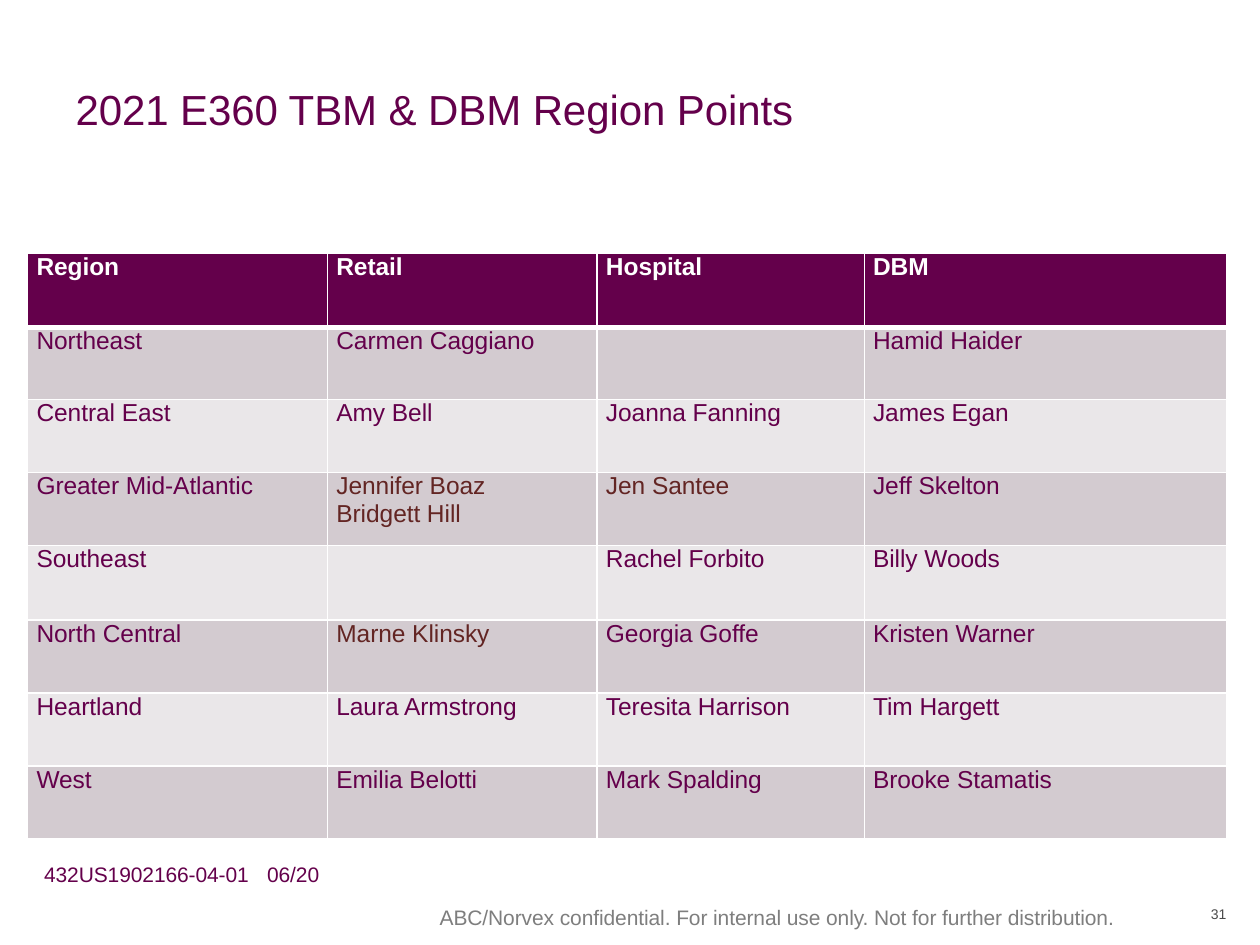
from pptx import Presentation
from pptx.dml.color import RGBColor
from pptx.oxml.ns import qn
from pptx.util import Inches, Pt
from lxml.etree import SubElement

COLORS = {
    "plum": "64004B",
    "brown": "632523",
    "white": "FFFFFF",
    "band_dark": "D3CBD0",
    "band_light": "EAE7E9",
    "grey": "7E7E7E",
    "dark_grey": "4A4A4A",
}


def write(frame, text, size, color, bold=False, left=0.01, top=0):
    """Fill a text frame, one paragraph per line of text."""
    frame.word_wrap = True
    for index, line in enumerate(text.split("\n")):
        para = frame.paragraphs[0] if index == 0 else frame.add_paragraph()
        span = para.add_run()
        span.text = line
        span.font.name = "Arial"
        span.font.size = Pt(size)
        span.font.bold = bold
        span.font.color.rgb = RGBColor.from_string(COLORS[color])
        span.font._element.set("spc", "-5")
    frame.margin_left, frame.margin_top = Inches(left), Inches(top)
    frame.margin_right = frame.margin_bottom = 0


def add_border(cell, side, width):
    line = SubElement(cell._tc.get_or_add_tcPr(), qn(f"a:{side}"), w=str(Pt(width)))
    fill = SubElement(line, qn("a:solidFill"))
    SubElement(fill, qn("a:srgbClr"), val=COLORS["white"])


deck = Presentation()
deck.slide_width, deck.slide_height = Inches(10), Inches(7.5)
page = deck.slides.add_slide(deck.slide_layouts[6])

# Title and footer: text, position and size, then format
texts = [
    ("2021 E360 TBM & DBM Region Points", (0.59, 0.32, 8.83, 0.75),
     dict(size=24, color="plum", top=0.34)),
    ("432US1902166-04-01\t06/20", (0.34, 6.84, 2.21, 0.19),
     dict(size=12, color="plum")),
    ("ABC/Norvex confidential. For internal use only. Not for further distribution.",
     (3.48, 7.18, 5.5, 0.19), dict(size=12, color="grey")),
    ("31", (9.58, 7.19, 0.18, 0.14), dict(size=8, color="dark_grey", left=0.03)),
]
for text, position, style in texts:
    box = page.shapes.add_textbox(*map(Inches, position))
    write(box.text_frame, text, **style)
    if "\t" in text:
        properties = box.text_frame.paragraphs[0]._p.get_or_add_pPr()
        stops = SubElement(properties, qn("a:tabLst"))
        SubElement(stops, qn("a:tab"), pos=str(Inches(1.77)), algn="l")

# Region table
rows = [
    ("Region", "Retail", "Hospital", "DBM"),
    ("Northeast", "Carmen Caggiano", "", "Hamid Haider"),
    ("Central East", "Amy Bell", "Joanna Fanning", "James Egan"),
    ("Greater Mid-Atlantic", "Jennifer Boaz\nBridgett Hill", "Jen Santee", "Jeff Skelton"),
    ("Southeast", "", "Rachel Forbito", "Billy Woods"),
    ("North Central", "Marne Klinsky", "Georgia Goffe", "Kristen Warner"),
    ("Heartland", "Laura Armstrong", "Teresita Harrison", "Tim Hargett"),
    ("West", "Emilia Belotti", "Mark Spalding", "Brooke Stamatis"),
]
brown_cells = {(3, 1), (3, 2), (5, 1)}
column_widths = [2.38, 2.14, 2.12, 2.88]
row_heights = [0.59, 0.57, 0.58, 0.58, 0.59, 0.58, 0.58, 0.58]

table = page.shapes.add_table(len(rows), len(column_widths), Inches(0.22), Inches(2.01),
                              Inches(9.51), Inches(4.65)).table
for column, width in zip(table.columns, column_widths):
    column.width = Inches(width)

for row_index, (names, height) in enumerate(zip(rows, row_heights)):
    table.rows[row_index].height = Inches(height)
    is_header = row_index == 0
    band = "plum" if is_header else "band_dark" if row_index % 2 else "band_light"
    for column_index, name in enumerate(names):
        cell = table.cell(row_index, column_index)
        color = "white" if is_header else "plum"
        if (row_index, column_index) in brown_cells:
            color = "brown"
        cell.margin_left = Inches(0.07)
        cell.margin_top = cell.margin_right = cell.margin_bottom = 0
        if name:
            write(cell.text_frame, name, 14, color, bold=is_header, left=0)
            # The frame call sets body insets, which cells hold on their own
            cell.margin_left = Inches(0.07)
        for side in ("lnL", "lnR", "lnT", "lnB"):
            heavy = (side, row_index) in {("lnB", 0), ("lnT", 1)}
            add_border(cell, side, 3 if heavy else 1)
        cell.fill.solid()
        cell.fill.fore_color.rgb = RGBColor.from_string(COLORS[band])

deck.save("out.pptx")
